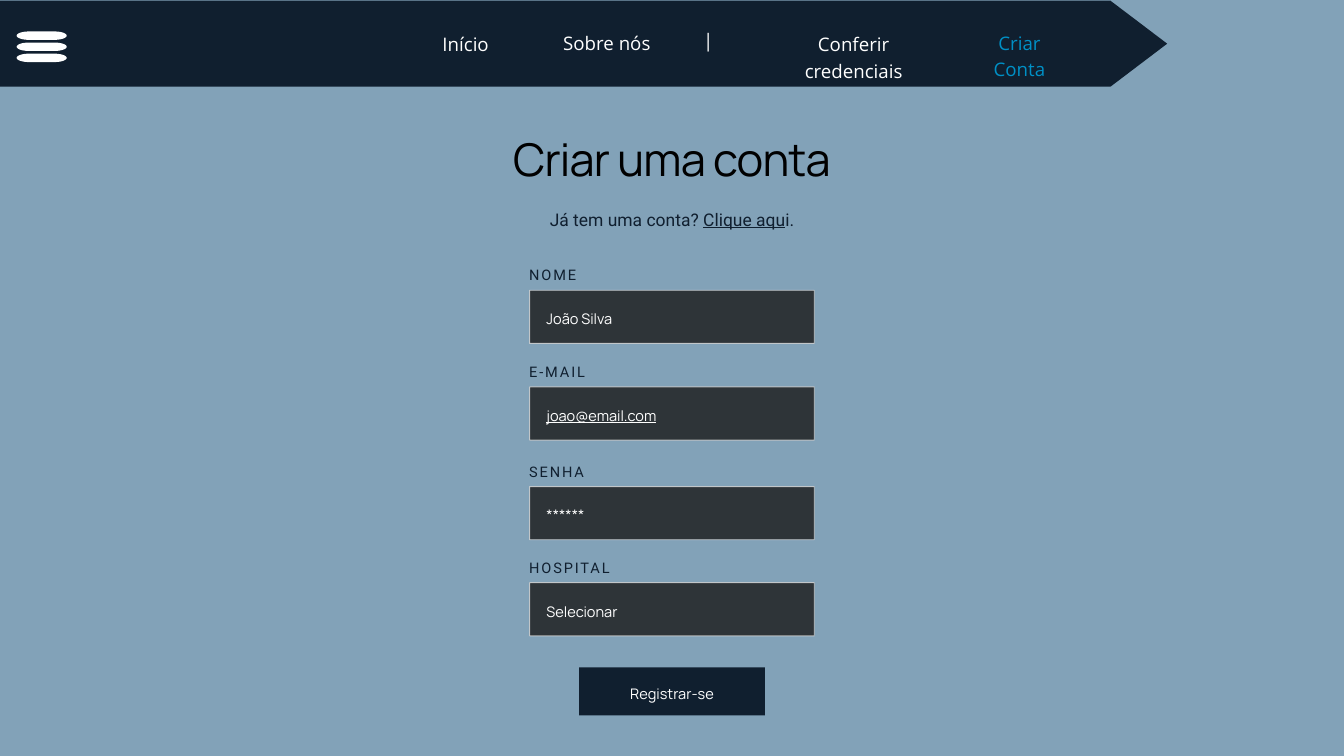
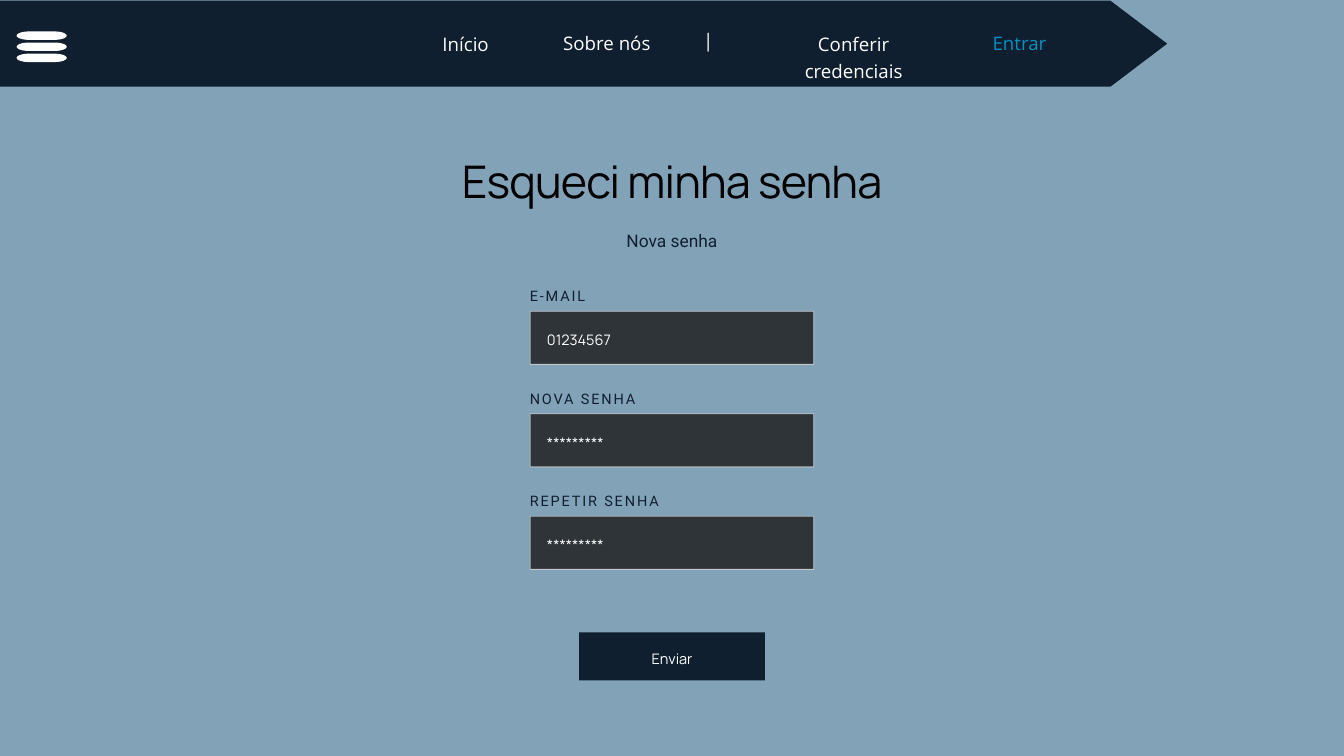
import math
import pptx
import pptx.util
import pptx.dml.color
import pptx.enum.shapes
import pptx.enum.text
import pptx.oxml.ns
import lxml.etree

Pt = pptx.util.Pt
RGB = pptx.dml.color.RGBColor.from_string
kinds = pptx.enum.shapes.MSO_SHAPE
LEFT = pptx.enum.text.PP_ALIGN.LEFT
MID = pptx.enum.text.PP_ALIGN.CENTER
qn = pptx.oxml.ns.qn

hues = {
    "back": "82A2B8", "navy": "101F2F", "white": "FFFFFF", "blue": "0090C6",
    "field": "191919", "edge": "D9D9D9", "black": "000000",
}

deck = pptx.Presentation()
deck.slide_width = Pt(1440)
deck.slide_height = Pt(810)


def put(slide, x, y, w, h, parts, font, size, hue, lead, align=MID, space=0, under=-1):
    frame = slide.shapes.add_textbox(Pt(x), Pt(y), Pt(w), Pt(h)).text_frame
    frame.word_wrap = True
    frame.margin_left = frame.margin_right = frame.margin_top = frame.margin_bottom = 0
    line = frame.paragraphs[0]
    line.alignment = align
    line.line_spacing = Pt(lead)
    for spot, part in enumerate(parts):
        run = line.add_run()
        run.text = part
        run.font.name = font
        run.font.size = Pt(size)
        run.font.color.rgb = RGB(hues[hue])
        if spot == under:
            run.font.underline = True
        if space:
            run.font._element.set("spc", str(round(space * 100)))


def paint(shape, hue, edge=None, alpha=100):
    shape.shadow.inherit = False
    shape.fill.solid()
    shape.fill.fore_color.rgb = RGB(hues[hue])
    if edge:
        shape.line.color.rgb = RGB(hues[edge])
        shape.line.width = Pt(1)
    else:
        shape.line.fill.background()
    if alpha < 100:
        for tone in shape._element.spPr.iter(qn("a:srgbClr")):
            lxml.etree.SubElement(tone, qn("a:alpha")).set("val", str(alpha * 1000))


menu = [
    (453.6, 31.7, 90.7, "Início"),
    (603.4, 30.2, 93.6, "Sobre nós"),
    (712.1, 26.6, 93.6, "|"),
    (821.5, 31.7, 186.2, "Conferir credenciais"),
]

pages = [
    {
        "link": ("Criar Conta", 105.1),
        "title": "Criar uma conta", "top": 150.5, "big": 48.3, "high": 48.8,
        "note": ["Já tem uma conta? ", "Clique aqu", "i."], "mid": 18.7,
        "size": 15.6, "lead": 22.9, "wide": 306,
        "fields": [
            (310.5, "NOME", "João Silva"),
            (414, "E-MAIL", "joao@email.com"),
            (520.8, "SENHA", "******"),
            (623.8, "HOSPITAL", "Selecionar"),
        ],
        "send": ("Registrar-se", 715),
    },
    {
        "link": ("Entrar", 57.6),
        "title": "Esqueci minha senha", "top": 173.5, "big": 48.1, "high": 48.6,
        "note": ["Nova senha"], "mid": 18.6,
        "size": 15.5, "lead": 22.8, "wide": 304.8,
        "fields": [
            (333, "E-MAIL", "01234567"),
            (442.8, "NOVA SENHA", "*********"),
            (552.6, "REPETIR SENHA", "*********"),
        ],
        "send": ("Enviar", 677.5),
    },
]

for page in pages:
    slide = deck.slides.add_slide(deck.slide_layouts[6])
    slide.background.fill.solid()
    slide.background.fill.fore_color.rgb = RGB(hues["back"])

    band = slide.shapes.add_shape(kinds.PENTAGON, 0, Pt(0.7), Pt(1250.6), Pt(92.2))
    band.adjustments[0] = 0.66
    paint(band, "navy")

    for row in range(3):
        dots = []
        for step in range(40):
            turn = math.radians(step * 9 - 85.5)
            side = math.copysign(13.5, math.cos(turn))
            dots.append((Pt(44.7 + side + 13.3 * math.cos(turn)),
                         Pt(38.2 + 11.9 * row + 4.5 * math.sin(turn))))
        path = slide.shapes.build_freeform(*dots[0])
        path.add_line_segments(dots[1:], close=True)
        paint(path.convert_to_shape(), "white")

    for x, y, w, name in menu:
        put(slide, x, y, w, 27.4, [name], "Open Sans", 20, "white", 28)
    name, w = page["link"]
    put(slide, 1092.3 - w / 2, 30.2, w, 27.4, [name], "Open Sans", 20, "blue", 28)

    top = page["top"]
    put(slide, 449, top, 542, 52.6, [page["title"]], "Manrope", page["big"],
        "black", page["high"], space=-0.9)
    put(slide, 443, top + 68, 554, 24.5, page["note"], "Roboto", page["mid"],
        "navy", 27.5, under=1)

    size, lead, wide = page["size"], page["lead"], page["wide"]
    left = 720 - wide / 2
    for y, label, value in page["fields"]:
        put(slide, left, y - 25.2, wide, 18, [label], "Roboto", size, "navy",
            size * 1.2, LEFT, 2)
        field = slide.shapes.add_shape(kinds.RECTANGLE, Pt(left + 0.5), Pt(y + 0.5),
                                       Pt(wide - 1), Pt(57))
        paint(field, "field", "edge", 80)
        put(slide, left + 18.5, y + 17.6, wide - 18.5, 20, [value], "Manrope", size,
            "white", lead, LEFT, under=0 if "@" in value else -1)

    name, y = page["send"]
    send = slide.shapes.add_shape(kinds.RECTANGLE, Pt(620.4), Pt(y), Pt(199.2), Pt(51.6))
    paint(send, "navy")
    put(slide, 620.4, y + 15.1, 199.2, 19.4, [name], "Manrope", size, "white", lead)

deck.save("out.pptx")
